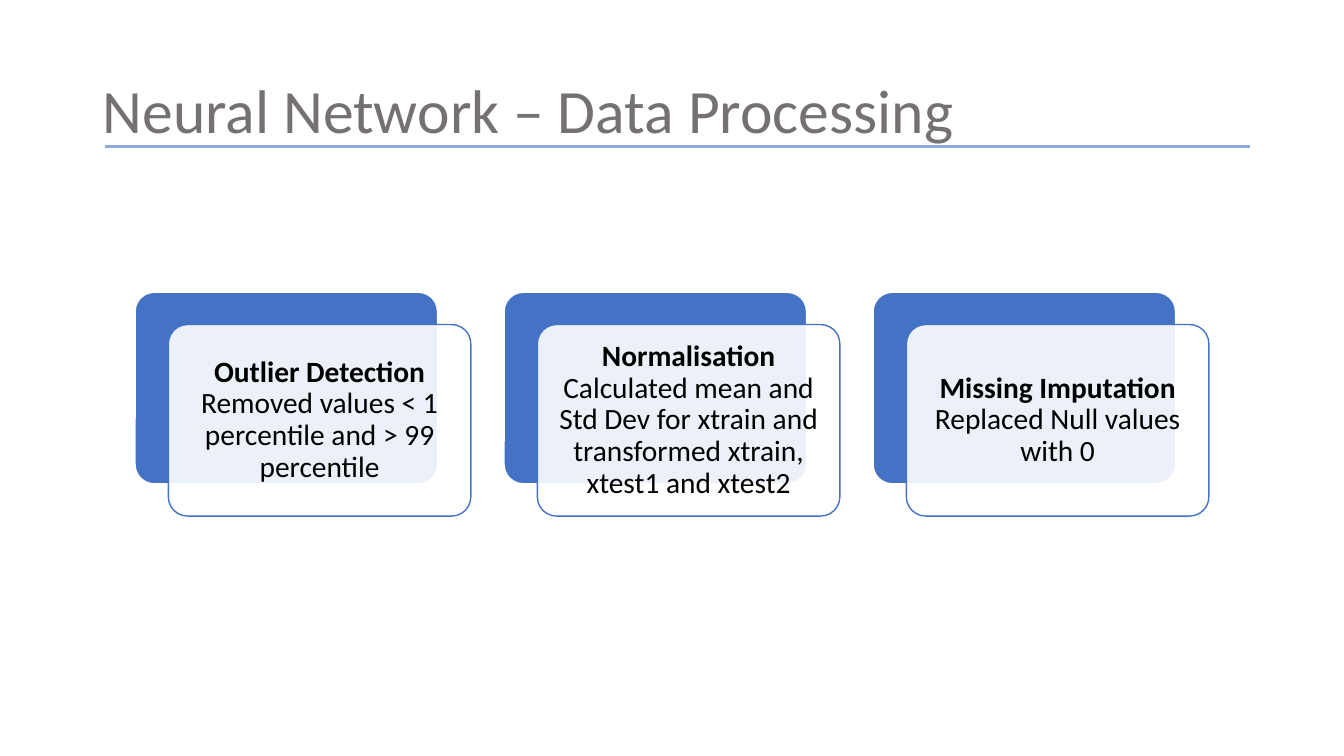
"""Build the data processing slide with three overlapping step cards."""
import dataclasses

import lxml.etree
import pptx
import pptx.dml.color
import pptx.enum.shapes
import pptx.enum.text
import pptx.oxml.ns
import pptx.util


@dataclasses.dataclass(frozen=True)
class Theme:
    """Colours, font and type sizes of the slide."""
    font: str = "Calibri"
    heading: str = "767171"
    rule: str = "8FAADC"
    accent: str = "4472C4"
    paper: str = "FFFFFF"
    ink: str = "000000"
    heading_size: int = 44
    card_size: int = 21


def px(length):
    """Turn px into EMU, at 100 px to the inch."""
    return pptx.util.Emu(length * 9144)


def rgb(colour):
    """Turn a hex string into a colour."""
    return pptx.dml.color.RGBColor.from_string(colour)


class SlideBuilder:
    """Draw the elements of one slide in one theme."""

    def __init__(self, slide, theme):
        """Keep the slide and its theme."""
        self.slide = slide
        self.theme = theme

    def format_paragraph(self, paragraph, size, colour, align):
        """Set the font, spacing and alignment of a paragraph."""
        paragraph.alignment = align
        paragraph.line_spacing = 0.9
        paragraph.font.name = self.theme.font
        paragraph.font.size = pptx.util.Pt(size)
        paragraph.font.color.rgb = rgb(colour)

    def title(self, wording, left, top, width, height):
        """Place and format the slide title."""
        heading = self.slide.shapes.title
        heading.left, heading.top = px(left), px(top)
        heading.width, heading.height = px(width), px(height)
        frame = heading.text_frame
        frame.text = wording
        frame.auto_size = pptx.enum.text.MSO_AUTO_SIZE.NONE
        frame.vertical_anchor = pptx.enum.text.MSO_ANCHOR.MIDDLE
        self.format_paragraph(frame.paragraphs[0], self.theme.heading_size,
                              self.theme.heading, pptx.enum.text.PP_ALIGN.LEFT)

    def rule(self, left, right, y):
        """Draw a horizontal rule."""
        underline = self.slide.shapes.add_connector(
            pptx.enum.shapes.MSO_CONNECTOR.STRAIGHT,
            px(left), px(y), px(right), px(y))
        underline.line.color.rgb = rgb(self.theme.rule)
        underline.line.width = pptx.util.Pt(2)
        lxml.etree.SubElement(underline._element.spPr,
                              pptx.oxml.ns.qn("a:effectLst"))

    def panel(self, left, top, fill, outline):
        """Draw one rounded panel of a card."""
        panel = self.slide.shapes.add_shape(
            pptx.enum.shapes.MSO_SHAPE.ROUNDED_RECTANGLE,
            px(left), px(top), px(300), px(190))
        panel.adjustments[0] = 0.1
        panel.shadow.inherit = False
        panel.fill.solid()
        panel.fill.fore_color.rgb = rgb(fill)
        panel.line.color.rgb = rgb(outline)
        panel.line.width = pptx.util.Pt(1)
        return panel

    def card(self, left, top, step, detail):
        """Draw a solid panel with a translucent text panel over it."""
        theme = self.theme
        self.panel(left, top, theme.accent, theme.paper)
        front = self.panel(left + 33, top + 32, theme.paper, theme.accent)
        tint = front._element.spPr.find(pptx.oxml.ns.qn("a:solidFill"))[0]
        lxml.etree.SubElement(tint, pptx.oxml.ns.qn("a:alpha"), val="90000")

        frame = front.text_frame
        frame.word_wrap = True
        frame.vertical_anchor = pptx.enum.text.MSO_ANCHOR.MIDDLE
        frame.margin_left = frame.margin_right = px(14)
        frame.margin_top = frame.margin_bottom = px(14)
        paragraph = frame.paragraphs[0]
        self.format_paragraph(paragraph, theme.card_size, theme.ink,
                              pptx.enum.text.PP_ALIGN.CENTER)
        for wording, bold in ((step + " ", True), (detail, False)):
            run = paragraph.add_run()
            run.text = wording
            run.font.bold = bold


def main():
    """Build and save the presentation."""
    steps = (
        ("Outlier Detection",
         "Removed values < 1 percentile and > 99 percentile"),
        ("Normalisation",
         "Calculated mean and Std Dev for xtrain and transformed xtrain, "
         "xtest1 and xtest2"),
        ("Missing Imputation", "Replaced Null values with 0"),
    )
    deck = pptx.Presentation()
    deck.slide_width, deck.slide_height = px(1333), px(750)
    builder = SlideBuilder(deck.slides.add_slide(deck.slide_layouts[5]), Theme())
    builder.title("Neural Network – Data Processing", 92, 40, 1150, 145)
    builder.rule(104, 1240, 145)
    for position, (step, detail) in enumerate(steps):
        builder.card(134 + 366 * position, 290, step, detail)
    deck.save("out.pptx")


if __name__ == "__main__":
    main()
